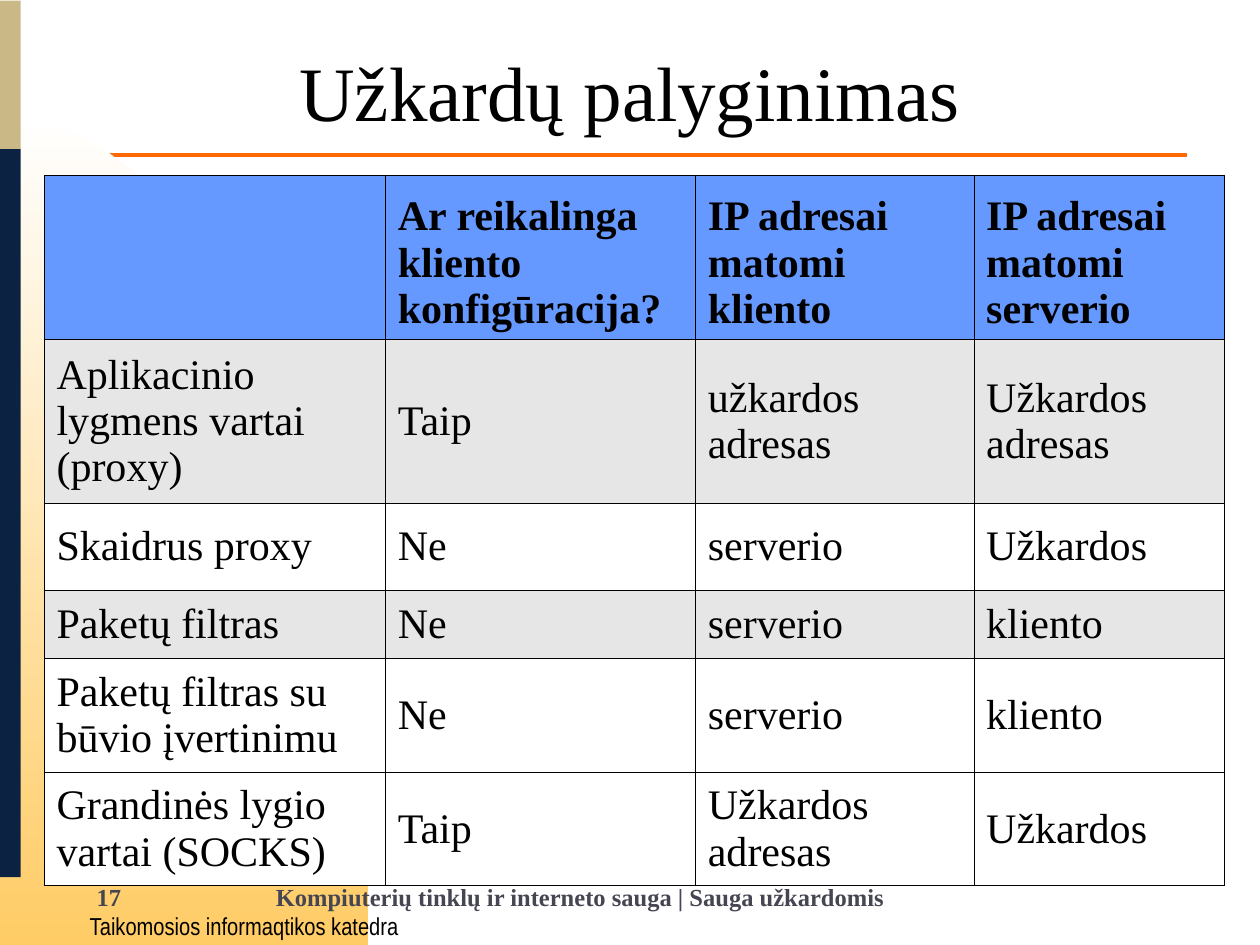
from dataclasses import dataclass
from math import cos, pi, sin

from lxml import etree
from pptx import Presentation
from pptx.dml.color import RGBColor
from pptx.enum.shapes import MSO_CONNECTOR, MSO_SHAPE
from pptx.enum.text import MSO_ANCHOR, PP_ALIGN
from pptx.oxml.ns import qn
from pptx.util import Cm, Pt

LEFT, CENTER = PP_ALIGN.LEFT, PP_ALIGN.CENTER
TOP, MIDDLE, BOTTOM = MSO_ANCHOR.TOP, MSO_ANCHOR.MIDDLE, MSO_ANCHOR.BOTTOM
RECTANGLE, STRAIGHT = MSO_SHAPE.RECTANGLE, MSO_CONNECTOR.STRAIGHT

SERIF = "Times New Roman"
BLACK, WHITE, SLATE = "000000", "FFFFFF", "464653"
HEADER_BLUE, BAND_GREY = "6699FF", "E6E6E6"
SLIDE_WIDTH, SLIDE_HEIGHT = 25.4, 19.05


@dataclass
class Bar:
    left: float
    top: float
    length: float
    color: str
    thickness: float = 0.43


@dataclass
class Label:
    text: str
    box: tuple[float, float, float, float]
    size: float
    color: str = BLACK
    font: str = SERIF
    bold: bool = False
    align: PP_ALIGN = LEFT
    margins: tuple[float, float] = (0.25, 0.13)


@dataclass
class Row:
    height: float
    fill: str
    texts: tuple[str, ...]


BARS = [
    Bar(-1.3, 1.3, 3.0, "CAB986"),
    Bar(-7.14, 10.13, 14.68, "0B2242"),
]
LABELS = [
    Label("Taikomosios informaqtikos katedra", (1.75, 18.34, 6.35, 0.66), 14,
          font="Arial Narrow", align=CENTER, margins=(0.03, 0.03)),
    Label("Kompiuterių tinklų ir interneto sauga | Sauga užkardomis",
          (5.31, 17.65, 14.61, 1.02), 14, SLATE, bold=True),
    Label("17", (1.7, 17.65, 3.61, 1.02), 14, SLATE, bold=True),
    Label("Užkardų palyginimas", (1.27, 0.76, 22.86, 3.18), 44, align=CENTER),
]
COLUMN_WIDTHS = (6.88, 6.25, 5.61, 5.05)
ROWS = [
    Row(3.3, HEADER_BLUE, ("", "Ar reikalinga kliento konfigūracija?",
                           "IP adresai matomi kliento", "IP adresai matomi serverio")),
    Row(3.3, BAND_GREY, ("Aplikacinio lygmens vartai (proxy)", "Taip",
                         "užkardos adresas", "Užkardos adresas")),
    Row(1.75, WHITE, ("Skaidrus proxy", "Ne", "serverio", "Užkardos")),
    Row(1.37, BAND_GREY, ("Paketų filtras", "Ne", "serverio", "kliento")),
    Row(2.29, WHITE, ("Paketų filtras su būvio įvertinimu", "Ne", "serverio", "kliento")),
    Row(2.29, WHITE, ("Grandinės lygio vartai (SOCKS)", "Taip",
                      "Užkardos adresas", "Užkardos")),
]


def rgb(color: str) -> RGBColor:
    return RGBColor.from_string(color)


def set_values(target, values: dict) -> None:
    for name, value in values.items():
        setattr(target, name, value)


def write_text(paragraph, text: str, size: float, color: str, font: str = SERIF,
               bold: bool = False) -> None:
    run = paragraph.add_run()
    run.text = text
    set_values(run.font, {"name": font, "size": Pt(size), "bold": bold})
    run.font.color.rgb = rgb(color)


def add_rule(slide, left: float, right: float, y: float, color: str) -> None:
    rule = slide.shapes.add_connector(STRAIGHT, Cm(left), Cm(y), Cm(right), Cm(y))
    rule.line.color.rgb = rgb(color)
    rule.line.width = Pt(2.25)
    etree.SubElement(rule._element.spPr, qn("a:effectLst"))


def add_corner_glow(slide, radius_x: float, radius_y: float, steps: int = 60) -> None:
    """Quarter ellipse centred on the lower left corner of the slide."""
    angles = [pi / 2 * step / steps for step in range(steps + 1)]
    arc = [(Cm(radius_x * sin(angle)), Cm(SLIDE_HEIGHT - radius_y * cos(angle)))
           for angle in angles]
    builder = slide.shapes.build_freeform(*arc[0], scale=1.0)
    builder.add_line_segments(arc[1:] + [(0, Cm(SLIDE_HEIGHT))], close=True)
    glow = builder.convert_to_shape()
    glow.shadow.inherit = False
    glow.line.fill.background()
    glow.fill.gradient()
    glow.fill.gradient_angle = 270
    for stop, color in zip(glow.fill.gradient_stops, (WHITE, "FFCC66")):
        stop.color.rgb = rgb(color)


def add_bar(slide, bar: Bar) -> None:
    shape = slide.shapes.add_shape(RECTANGLE, Cm(bar.left), Cm(bar.top),
                                   Cm(bar.length), Cm(bar.thickness))
    shape.rotation = 90
    shape.shadow.inherit = False
    shape.fill.solid()
    shape.fill.fore_color.rgb = rgb(bar.color)
    shape.line.fill.background()


def add_label(slide, label: Label) -> None:
    frame = slide.shapes.add_textbox(*map(Cm, label.box)).text_frame
    side, edge = map(Cm, label.margins)
    set_values(frame, {"word_wrap": True, "vertical_anchor": TOP,
                       "margin_left": side, "margin_right": side,
                       "margin_top": edge, "margin_bottom": edge})
    paragraph = frame.paragraphs[0]
    paragraph.alignment = label.align
    write_text(paragraph, label.text, label.size, label.color, label.font, label.bold)


def add_borders(cell, color: str, width: float) -> None:
    properties = cell._tc.get_or_add_tcPr()
    for position, side in enumerate(("a:lnL", "a:lnR", "a:lnT", "a:lnB")):
        border = etree.Element(qn(side), w=str(Pt(width)))
        fill = etree.SubElement(border, qn("a:solidFill"))
        etree.SubElement(fill, qn("a:srgbClr"), val=color)
        properties.insert(position, border)


def add_comparison_table(slide, left: float, top: float) -> None:
    width, height = sum(COLUMN_WIDTHS), sum(row.height for row in ROWS)
    table = slide.shapes.add_table(len(ROWS), len(COLUMN_WIDTHS), Cm(left), Cm(top),
                                   Cm(width), Cm(height)).table
    set_values(table, {"first_row": False, "horz_banding": False})
    for column, column_width in zip(table.columns, COLUMN_WIDTHS):
        column.width = Cm(column_width)
    for row_index, row in enumerate(ROWS):
        is_header = row_index == 0
        table.rows[row_index].height = Cm(row.height)
        for column_index, text in enumerate(row.texts):
            cell = table.cell(row_index, column_index)
            set_values(cell, {"vertical_anchor": BOTTOM if is_header else MIDDLE,
                              "margin_left": Cm(0.25), "margin_right": Cm(0.25),
                              "margin_top": Cm(0.13), "margin_bottom": Cm(0.13)})
            cell.fill.solid()
            cell.fill.fore_color.rgb = rgb(row.fill)
            add_borders(cell, BLACK, 0.34)
            if text:
                write_text(cell.text_frame.paragraphs[0], text, 24, BLACK, bold=is_header)


def main() -> None:
    presentation = Presentation()
    set_values(presentation, {"slide_width": Cm(SLIDE_WIDTH),
                              "slide_height": Cm(SLIDE_HEIGHT)})
    slide = presentation.slides.add_slide(presentation.slide_layouts[6])

    # Background decoration
    add_rule(slide, 1.07, 23.93, 3.12, "FF6903")
    add_corner_glow(slide, 7.42, 16.71)
    for bar in BARS:
        add_bar(slide, bar)

    # Footer and title
    for label in LABELS:
        add_label(slide, label)

    # Firewall comparison
    add_comparison_table(slide, 0.89, 3.53)
    presentation.save("out.pptx")


if __name__ == "__main__":
    main()
